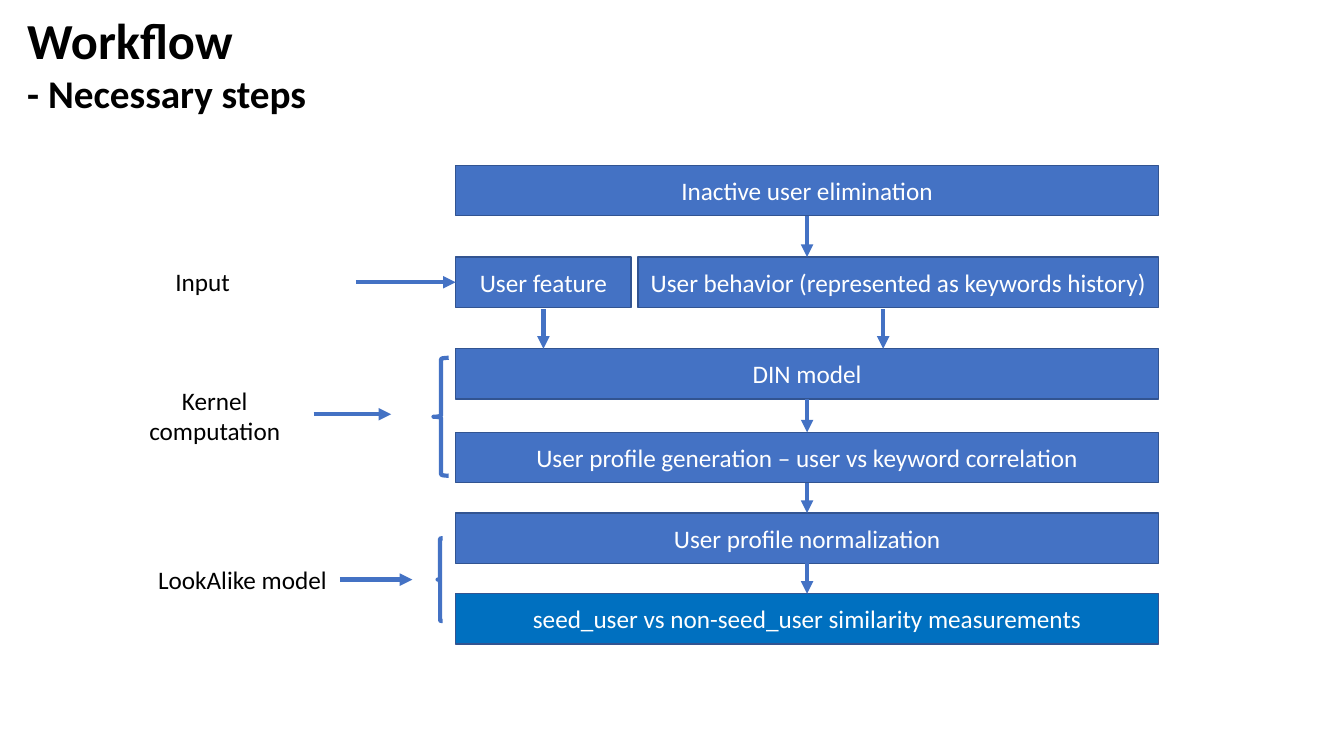
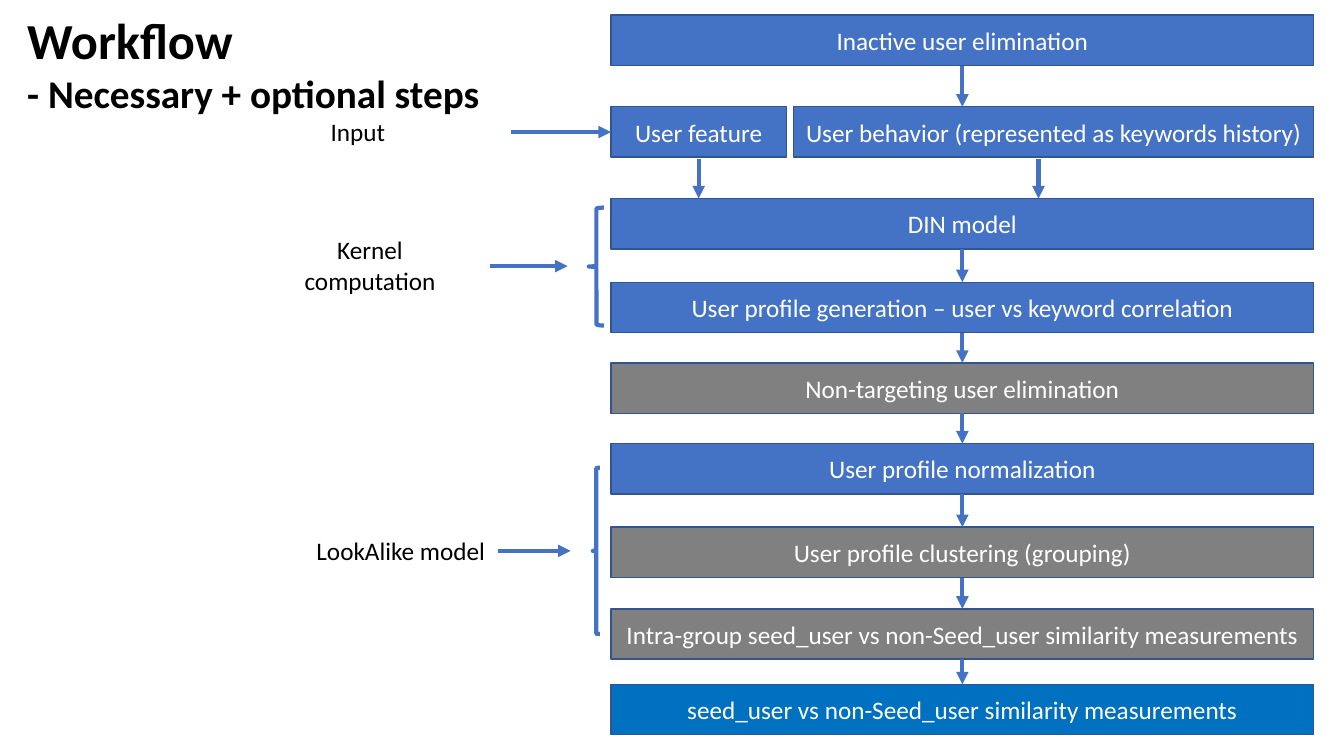
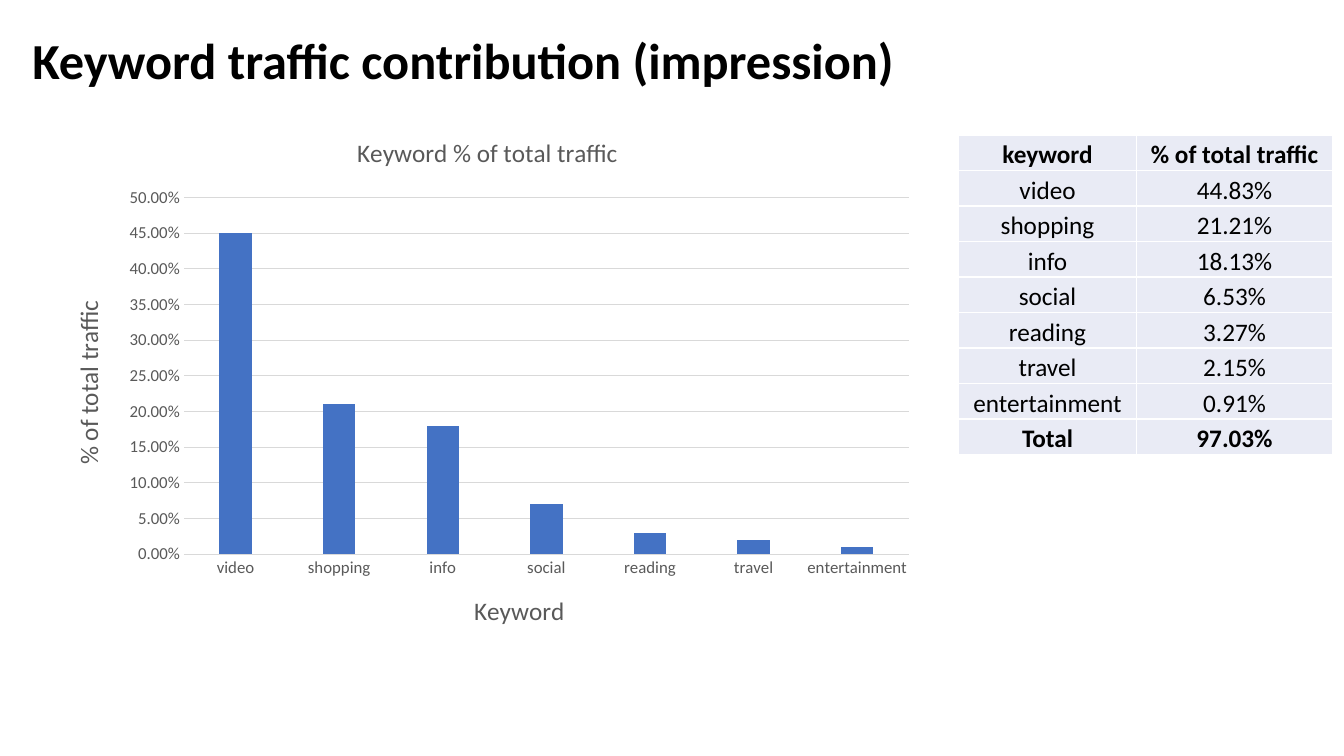
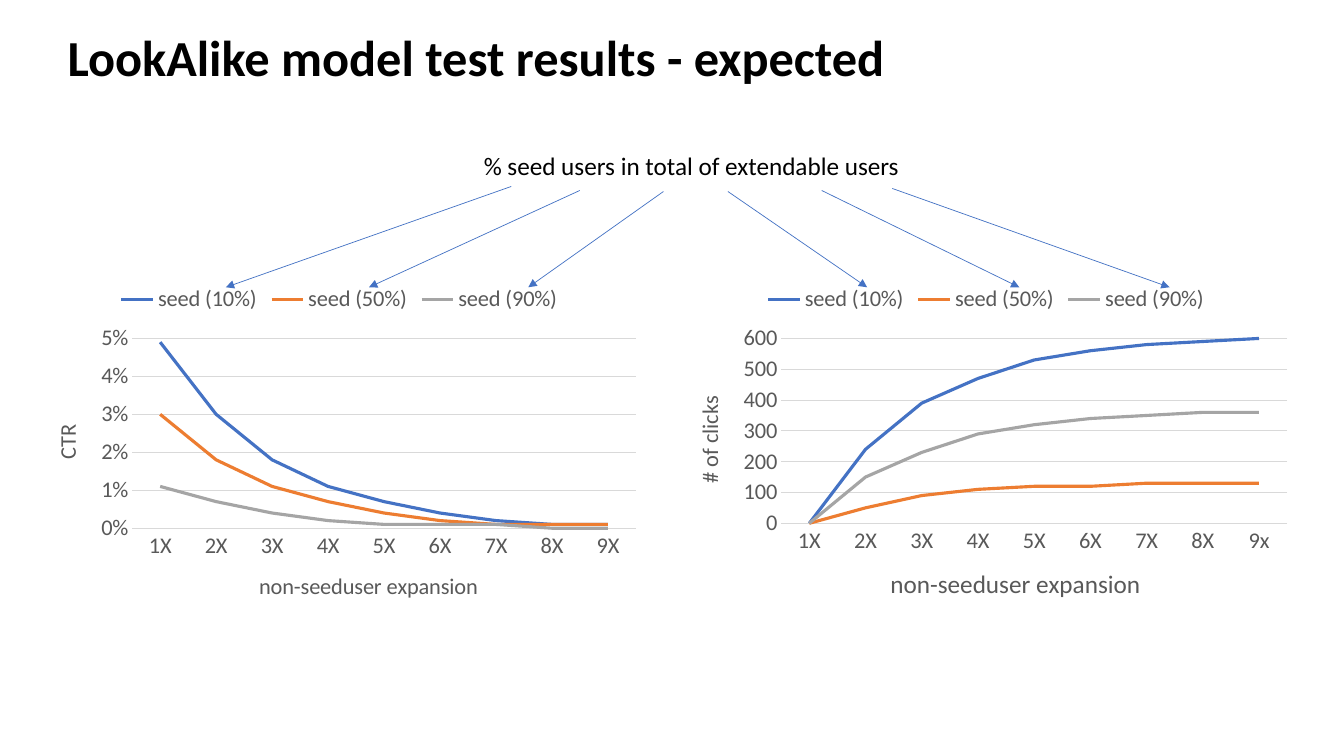
from dataclasses import dataclass
from itertools import pairwise

from lxml.etree import SubElement
from pptx import Presentation
from pptx.chart.data import CategoryChartData
from pptx.dml.color import RGBColor
from pptx.enum.chart import XL_CHART_TYPE, XL_LEGEND_POSITION, XL_TICK_MARK
from pptx.enum.shapes import MSO_CONNECTOR, MSO_SHAPE
from pptx.enum.text import MSO_ANCHOR, MSO_AUTO_SIZE, PP_ALIGN
from pptx.oxml.ns import qn
from pptx.util import Inches, Pt


@dataclass(frozen=True)
class Theme:
    font: str = "Calibri"
    black: str = "000000"
    white: str = "FFFFFF"
    blue: str = "4472C4"
    blue_edge: str = "325491"
    result: str = "0070C0"
    optional: str = "808080"
    orange: str = "ED7D31"
    silver: str = "A5A5A5"
    grid: str = "D9D9D9"
    chart_text: str = "595959"
    cell: str = "E9EBF5"
    title_size: int = 36
    subtitle_size: int = 28
    body_size: int = 18
    legend_size: int = 16
    tick_size: int = 12


THEME = Theme()
BOX_WIDTH, BOX_HEIGHT = 6.97, 0.5
FEATURE_WIDTH, BEHAVIOR_WIDTH = 1.74, 5.16
ROW_OFFSETS = (0, 0.91, 1.82, 2.65, 3.45, 4.25, 5.08, 5.89, 6.64)
TABLE_HEIGHT = 3.17


def rgb(value):
    return RGBColor.from_string(value)


def inches(*values):
    return [Inches(value) for value in values]


def apply_format(target, values):
    for name, value in values.items():
        setattr(target, name, value)


def style_font(font, size, color=THEME.black, bold=False):
    apply_format(font, {"name": THEME.font, "size": Pt(size), "bold": bold})
    font.color.rgb = rgb(color)


def style_line(line, color, width):
    line.color.rgb = rgb(color)
    line.width = Pt(width)


def add_span(para, text, size, color=THEME.black, bold=False):
    span = para.add_run()
    span.text = text
    style_font(span.font, size, color, bold)


def add_page(deck, at, title, subtitle=None):
    page = deck.slides.add_slide(deck.slide_layouts[5])
    box = page.shapes.title
    apply_format(box, dict(zip(("left", "top", "width", "height"), inches(*at))))
    frame = box.text_frame
    apply_format(frame, {"word_wrap": True, "auto_size": MSO_AUTO_SIZE.NONE,
                         "vertical_anchor": MSO_ANCHOR.TOP})
    lines = [(title, THEME.title_size)]
    if subtitle:
        lines.append((subtitle, THEME.subtitle_size))
    for index, (text, size) in enumerate(lines):
        para = frame.add_paragraph() if index else frame.paragraphs[0]
        para.alignment = PP_ALIGN.LEFT
        add_span(para, text, size, bold=True)
    return page


def add_label(page, at, text, align=PP_ALIGN.LEFT):
    frame = page.shapes.add_textbox(*inches(*at)).text_frame
    frame.word_wrap = True
    para = frame.paragraphs[0]
    para.alignment = align
    add_span(para, text, THEME.body_size)


def add_step(page, at, text, fill=THEME.blue):
    box = page.shapes.add_shape(MSO_SHAPE.RECTANGLE, *inches(*at))
    box.shadow.inherit = False
    box.fill.solid()
    box.fill.fore_color.rgb = rgb(fill)
    style_line(box.line, THEME.blue_edge, 1)
    frame = box.text_frame
    apply_format(frame, {"word_wrap": True, "vertical_anchor": MSO_ANCHOR.MIDDLE})
    para = frame.paragraphs[0]
    para.alignment = PP_ALIGN.CENTER
    add_span(para, text, THEME.body_size, THEME.white)
    return box


def add_brace(page, at):
    brace = page.shapes.add_shape(MSO_SHAPE.LEFT_BRACE, *inches(*at))
    brace.shadow.inherit = False
    brace.fill.background()
    style_line(brace.line, THEME.blue, 3)


def add_arrow(page, start=(0, 0), end=(0, 0), width=3, begin_join=None, end_join=None):
    arrow = page.shapes.add_connector(MSO_CONNECTOR.STRAIGHT, *inches(*start, *end))
    style_line(arrow.line, THEME.blue, width)
    properties = arrow._element.spPr
    SubElement(properties.find(qn("a:ln")), qn("a:tailEnd"), type="triangle")
    SubElement(properties, qn("a:effectLst"))
    if begin_join:
        arrow.begin_connect(*begin_join)
    if end_join:
        arrow.end_connect(*end_join)


def add_workflow(page, left, top, steps, kernel_arrow, model_left, model_brace):
    rows = [top + offset for offset in ROW_OFFSETS]
    input_top, kernel_top = rows[1:3]
    first = add_step(page, (left, top, BOX_WIDTH, BOX_HEIGHT), "Inactive user elimination")
    feature = add_step(page, (left, input_top, FEATURE_WIDTH, BOX_HEIGHT), "User feature")
    add_step(page, (left + BOX_WIDTH - BEHAVIOR_WIDTH, input_top, BEHAVIOR_WIDTH, BOX_HEIGHT),
             "User behavior (represented as keywords history)")
    boxes = [add_step(page, (left, row, BOX_WIDTH, BOX_HEIGHT), text, fill)
             for row, (text, fill) in zip(rows[2:], steps)]

    add_arrow(page, end=(left + BOX_WIDTH / 2, input_top), begin_join=(first, 2))
    for x in (left + FEATURE_WIDTH / 2, left + 4.24):
        add_arrow(page, (x, input_top + BOX_HEIGHT + 0.02), (x, kernel_top))
    for upper, lower in pairwise(boxes):
        add_arrow(page, begin_join=(upper, 2), end_join=(lower, 0))

    add_label(page, (left - 3.18, input_top + 0.04, 1.34, 0.4), "Input", PP_ALIGN.CENTER)
    add_arrow(page, (left - 0.99, input_top + BOX_HEIGHT / 2), end_join=(feature, 1))

    add_label(page, (left - 3.41, top + 2.13, 2.04, 0.71), "Kernel computation",
              PP_ALIGN.CENTER)
    arrow_left, arrow_top = kernel_arrow
    add_arrow(page, kernel_arrow, (arrow_left + 0.77, arrow_top))
    add_brace(page, (left - 0.22, top + 1.91, 0.15, 1.17))

    brace_top, brace_width, brace_height = model_brace
    middle = brace_top + brace_height / 2
    add_label(page, (model_left, middle - 0.2, 2, 0.4), "LookAlike model")
    add_arrow(page, (model_left + 1.9, middle), (model_left + 2.62, middle))
    add_brace(page, (left - 0.18, brace_top, brace_width, brace_height))


def set_title(holder, text, size):
    para = holder.text_frame.paragraphs[0]
    add_span(para, text, size, THEME.chart_text)


def style_axis(axis, title, title_size, tick_size):
    set_title(axis.axis_title, title, title_size)
    style_font(axis.tick_labels.font, tick_size, THEME.chart_text)
    apply_format(axis, {"major_tick_mark": XL_TICK_MARK.NONE,
                        "minor_tick_mark": XL_TICK_MARK.NONE})


def add_chart(page, kind, at, categories, series, category_title, value_title, scale,
              number_format, tick_size):
    data = CategoryChartData()
    data.categories = categories
    for name, values in series.items():
        data.add_series(name, values)
    chart = page.shapes.add_chart(kind, *inches(*at), data).chart
    apply_format(chart, {"has_title": False, "has_legend": False})
    style_font(chart.font, 10)

    style_axis(chart.category_axis, *category_title, tick_size)
    chart.category_axis.has_major_gridlines = False
    style_line(chart.category_axis.format.line, THEME.grid, 0.75)

    axis = chart.value_axis
    style_axis(axis, *value_title, tick_size)
    maximum, step = scale
    apply_format(axis, {"minimum_scale": 0, "maximum_scale": maximum, "major_unit": step,
                        "has_major_gridlines": True})
    apply_format(axis.tick_labels, {"number_format": number_format,
                                    "number_format_is_linked": False})
    axis.format.line.fill.background()
    style_line(axis.major_gridlines.format.line, THEME.grid, 0.75)
    chart.plots[0].vary_by_categories = False
    return chart


def add_column_chart(page, traffic):
    shares = [round(share, 2) for share in traffic.values()]
    chart = add_chart(page, XL_CHART_TYPE.COLUMN_CLUSTERED, (0.48, 1.14, 8.71, 5.32),
                      list(traffic), {"Series 1": shares},
                      ("Keyword", THEME.body_size), ("% of total traffic", THEME.body_size),
                      (0.5, 0.05), "0.00%", THEME.tick_size)
    set_title(chart.chart_title, "Keyword % of total traffic", THEME.body_size)
    plot = chart.plots[0]
    apply_format(plot, {"gap_width": 219, "overlap": -27})
    fill = plot.series[0].format.fill
    fill.solid()
    fill.fore_color.rgb = rgb(THEME.blue)


def add_line_chart(page, at, last_category, values, category_size, value_title, scale,
                   number_format):
    categories = [f"{number}X" for number in range(1, 9)] + [last_category]
    names = [f"seed ({share}%)" for share in (10, 50, 90)]
    chart = add_chart(page, XL_CHART_TYPE.LINE, at, categories, dict(zip(names, values)),
                      ("non-seeduser expansion", category_size),
                      (value_title, THEME.legend_size), scale, number_format,
                      THEME.legend_size)
    chart.has_legend = True
    apply_format(chart.legend, {"position": XL_LEGEND_POSITION.TOP,
                                "include_in_layout": False})
    style_font(chart.legend.font, THEME.legend_size, THEME.chart_text)
    for series, color in zip(chart.plots[0].series,
                             (THEME.blue, THEME.orange, THEME.silver)):
        series.smooth = False
        style_line(series.format.line, color, 2.25)


def style_cell(cell, text, bold):
    margins = dict.fromkeys(("margin_left", "margin_right", "margin_top"), Inches(0.01))
    apply_format(cell, {**margins, "margin_bottom": 0,
                        "vertical_anchor": MSO_ANCHOR.BOTTOM})
    properties = cell._tc.get_or_add_tcPr()
    for side in ("a:lnL", "a:lnR", "a:lnT", "a:lnB"):
        border = SubElement(properties, qn(side), w=str(Pt(1)))
        fill = SubElement(border, qn("a:solidFill"))
        SubElement(fill, qn("a:srgbClr"), val=THEME.white)
    cell.fill.solid()
    cell.fill.fore_color.rgb = rgb(THEME.cell)
    para = cell.text_frame.paragraphs[0]
    para.alignment = PP_ALIGN.CENTER
    add_span(para, text, THEME.body_size, bold=bold)


def add_traffic_table(page, traffic):
    rows = [("keyword", "% of total traffic")]
    rows += [(name, f"{share:.2%}") for name, share in traffic.items()]
    rows.append(("Total", f"{sum(traffic.values()):.2%}"))
    table = page.shapes.add_table(len(rows), 2, *inches(9.51, 1.34, 3.71, TABLE_HEIGHT)).table
    apply_format(table, {"first_row": False, "horz_banding": False})
    for column, width in zip(table.columns, (1.76, 1.95)):
        column.width = Inches(width)
    for index, texts in enumerate(rows):
        table.rows[index].height = Inches(TABLE_HEIGHT / len(rows))
        for column, text in enumerate(texts):
            style_cell(table.cell(index, column), text, index in (0, len(rows) - 1))


def add_necessary_steps(deck):
    page = add_page(deck, (0.17, 0.04, 5.39, 1.18), "Workflow", "- Necessary steps")
    steps = [("DIN model", THEME.blue),
             ("User profile generation – user vs keyword correlation", THEME.blue),
             ("User profile normalization", THEME.blue),
             ("seed_user vs non-seed_user similarity measurements", THEME.result)]
    add_workflow(page, 4.52, 1.64, steps, (3.11, 4.11), 1.47, (5.34, 0.05, 0.82))


def add_optional_steps(deck):
    page = add_page(deck, (0.17, 0.04, 7.08, 1.78), "Workflow",
                    "- Necessary + optional steps")
    steps = [("DIN model", THEME.blue),
             ("User profile generation – user vs keyword correlation", THEME.blue),
             ("Non-targeting user elimination", THEME.optional),
             ("User profile normalization", THEME.blue),
             ("User profile clustering (grouping)", THEME.optional),
             ("Intra-group seed_user vs non-Seed_user similarity measurements",
              THEME.optional),
             ("seed_user vs non-Seed_user similarity measurements", THEME.result)]
    add_workflow(page, 6.06, 0.15, steps, (4.86, 2.64), 3.04, (4.64, 0.07, 1.65))


def add_traffic(deck):
    page = add_page(deck, (0.22, 0.24, 9.18, 0.71),
                    "Keyword traffic contribution (impression)")
    traffic = {"video": 0.4483, "shopping": 0.2121, "info": 0.1813, "social": 0.0653,
               "reading": 0.0327, "travel": 0.0215, "entertainment": 0.0091}
    add_column_chart(page, traffic)
    add_traffic_table(page, traffic)


def add_test_results(deck):
    page = add_page(deck, (0.57, 0.21, 9.7, 0.71),
                    "LookAlike model test results - expected")
    rates = [(0.049, 0.03, 0.018, 0.011, 0.007, 0.004, 0.002, 0.001, 0.001),
             (0.03, 0.018, 0.011, 0.007, 0.004, 0.002, 0.001, 0.001, 0.001),
             (0.011, 0.007, 0.004, 0.002, 0.001, 0.001, 0.001, 0, 0)]
    clicks = [(0, 240, 390, 470, 530, 560, 580, 590, 600),
              (0, 50, 90, 110, 120, 120, 130, 130, 130),
              (0, 150, 230, 290, 320, 340, 350, 360, 360)]
    add_line_chart(page, (0.3, 2.72, 6.13, 3.47), "9X", rates, THEME.legend_size,
                   "CTR", (0.05, 0.01), "0%")
    add_line_chart(page, (6.67, 2.72, 6.22, 3.47), "9x", clicks, THEME.body_size,
                   "# of clicks", (600, 100), "0")
    add_label(page, (4.7, 1.44, 4.54, 0.4), "% seed users in total of extendable users")
    legend_arrows = [((5.07, 1.85), 2.24), ((5.75, 1.89), 3.66), ((6.58, 1.9), 5.24),
                     ((7.22, 1.9), 8.6), ((8.15, 1.89), 10.11), ((8.85, 1.87), 11.6)]
    for start, end_x in legend_arrows:
        add_arrow(page, start, (end_x, 2.85), width=0.5)


def main():
    deck = Presentation()
    apply_format(deck, {"slide_width": Inches(13.33), "slide_height": Inches(7.5)})
    add_necessary_steps(deck)
    add_optional_steps(deck)
    add_traffic(deck)
    add_test_results(deck)
    deck.save("out.pptx")


if __name__ == "__main__":
    main()
